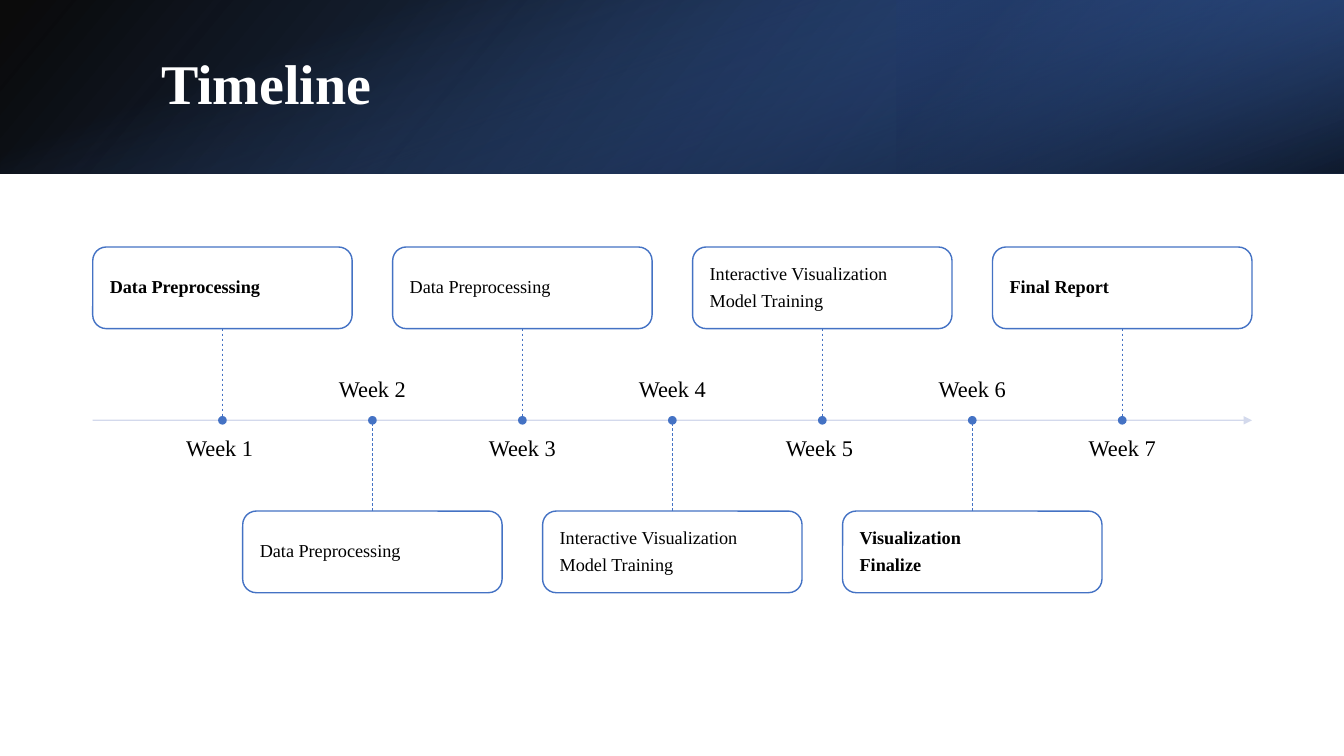
from dataclasses import dataclass

from lxml.etree import SubElement
from pptx import Presentation
from pptx.dml.color import RGBColor
from pptx.enum.dml import MSO_LINE_DASH_STYLE as Dash
from pptx.enum.shapes import MSO_CONNECTOR_TYPE as Connector, MSO_SHAPE as Shape
from pptx.enum.text import MSO_VERTICAL_ANCHOR as Anchor, PP_PARAGRAPH_ALIGNMENT as Align
from pptx.oxml.ns import qn
from pptx.util import Inches, Pt


@dataclass(frozen=True)
class Theme:
    font: str = "Times New Roman"
    white: str = "FFFFFF"
    black: str = "000000"
    accent: str = "4472C4"
    deep: str = "2F5597"
    navy: str = "203864"
    axis: str = "CFD5EA"
    title_size: int = 40
    week_size: int = 16
    task_size: int = 13


class TimelineSlide:
    """Draws timeline elements on a slide grid of 100 columns by 100 rows."""

    def __init__(self, presentation, theme):
        self.theme = theme
        self.column = presentation.slide_width / 100
        self.row = presentation.slide_height / 100
        self.slide = presentation.slides.add_slide(presentation.slide_layouts[6])

    def area(self, left, top, width, height):
        return (round(left * self.column), round(top * self.row),
                round(width * self.column), round(height * self.row))

    def opacity(self, parent, percent):
        color = next(parent.iter(qn("a:srgbClr")))
        SubElement(color, qn("a:alpha"), val=str(percent * 1000))

    def shape(self, kind, area, fill, line=None):
        shape = self.slide.shapes.add_shape(kind, *self.area(*area))
        shape.shadow.inherit = False
        shape.fill.solid()
        shape.fill.fore_color.rgb = RGBColor.from_string(fill)
        if line:
            shape.line.color.rgb = RGBColor.from_string(line)
            shape.line.width = Pt(1)
        else:
            shape.line.fill.background()
        return shape

    def gradient(self, area, stops, angle, rotation=0, flip=False):
        shape = self.shape(Shape.RECTANGLE, area, self.theme.black)
        if rotation == 90:
            center_x = shape.left + shape.width // 2
            center_y = shape.top + shape.height // 2
            shape.width, shape.height = shape.height, shape.width
            shape.left = center_x - shape.width // 2
            shape.top = center_y - shape.height // 2
        shape.rotation = rotation
        properties = shape.element.spPr
        if flip:
            properties.find(qn("a:xfrm")).set("flipH", "1")
        solid = properties.find(qn("a:solidFill"))
        fill = SubElement(properties, qn("a:gradFill"), rotWithShape="1")
        properties.replace(solid, fill)
        stop_list = SubElement(fill, qn("a:gsLst"))
        for position, color, percent in stops:
            stop = SubElement(stop_list, qn("a:gs"), pos=str(position * 1000))
            SubElement(stop, qn("a:srgbClr"), val=color)
            self.opacity(stop, percent)
        SubElement(fill, qn("a:lin"), ang=str(angle * 60000), scaled="0")

    def add_lines(self, shape, lines, size, color, bold=False, align=Align.LEFT,
                  anchor=Anchor.MIDDLE, inset=0.0, space_after=0):
        frame = shape.text_frame
        frame.word_wrap = True
        frame.vertical_anchor = anchor
        frame.margin_left = frame.margin_right = Inches(inset)
        frame.margin_top = frame.margin_bottom = Inches(inset)
        for index, line in enumerate(lines):
            paragraph = frame.add_paragraph() if index else frame.paragraphs[0]
            paragraph.alignment = align
            paragraph.line_spacing = 0.9
            paragraph.space_after = Pt(space_after)
            run = paragraph.add_run()
            run.text = line
            run.font.name = self.theme.font
            run.font.size = Pt(size)
            run.font.bold = bold
            run.font.color.rgb = RGBColor.from_string(color)

    def text(self, area, *content, **style):
        box = self.slide.shapes.add_textbox(*self.area(*area))
        self.add_lines(box, *content, **style)

    def line(self, start, end, color, width, dash=Dash.SOLID):
        points = (*self.area(*start, 0, 0)[:2], *self.area(*end, 0, 0)[:2])
        connector = self.slide.shapes.add_connector(Connector.STRAIGHT, *points)
        connector.line.color.rgb = RGBColor.from_string(color)
        connector.line.width = Pt(width)
        connector.line.dash_style = dash
        SubElement(connector.element.spPr, qn("a:effectLst"))
        return connector

    def axis(self, left, right, row):
        connector = self.line((left, row), (right, row), self.theme.axis, 1)
        outline = connector.element.spPr.find(qn("a:ln"))
        self.opacity(outline, 90)
        SubElement(outline, qn("a:tailEnd"), type="triangle")

    def week(self, label, tasks, bold, left, width, axis_row, above):
        theme = self.theme
        center = left + width / 2
        box_row, height = (32.67 if above else 67.6), 10.8
        box = self.shape(Shape.ROUNDED_RECTANGLE, (left, box_row, width, height),
                         theme.white, theme.accent)
        self.opacity(box.element.spPr.find(qn("a:solidFill")), 90)
        self.add_lines(box, tasks, theme.task_size, theme.black, bold=bold,
                       inset=0.13, space_after=5)
        edge = box_row + height if above else box_row
        stem = self.line((center, edge), (center, axis_row), theme.accent, 0.5, Dash.DASH)
        stem.begin_connect(box, 2 if above else 0)
        self.text((center - 8.5, 57.87 if above else 46, 17, 7.2), [label],
                  theme.week_size, theme.black, align=Align.CENTER,
                  anchor=Anchor.TOP if above else Anchor.BOTTOM, space_after=6)
        self.shape(Shape.OVAL, (center - 0.27, axis_row - 0.48, 0.54, 0.96),
                   theme.accent, theme.accent)


def main():
    presentation = Presentation()
    presentation.slide_width, presentation.slide_height = Inches(13.33), Inches(7.5)
    theme = Theme()
    timeline = TimelineSlide(presentation, theme)

    banner = (0, 0, 100, 22.93)
    timeline.gradient(banner, [(0, theme.black, 96), (100, theme.deep, 100)], 140, flip=True)
    timeline.gradient((66.7, 0, 33.3, 22.93),
                      [(19, theme.navy, 68), (100, theme.accent, 79)], 320, 180, True)
    timeline.gradient(banner, [(23, theme.accent, 0), (99, theme.black, 74)], 340, 90)
    timeline.text((11.25, 5.07, 82.37, 12.8), ["Timeline"], theme.title_size,
                  theme.white, bold=True, inset=0.1)

    preparation = ["Data Preprocessing "]
    modelling = ["Interactive Visualization", "Model Training"]
    weeks = [
        ("Week 1 ", preparation, True),
        ("Week 2", preparation, False),
        ("Week 3", preparation, False),
        ("Week 4", modelling, False),
        ("Week 5 ", modelling, False),
        ("Week 6", ["Visualization ", "Finalize"], True),
        ("Week 7", ["Final Report"], True),
    ]
    left, right, axis_row, box_width = 6.9, 93.15, 55.6, 19.3
    pitch = (right - left - box_width) / (len(weeks) - 1)
    timeline.axis(left, right, axis_row)
    for index, (label, tasks, bold) in enumerate(weeks):
        timeline.week(label, tasks, bold, left + index * pitch, box_width,
                      axis_row, above=index % 2 == 0)

    presentation.save("out.pptx")


if __name__ == "__main__":
    main()
